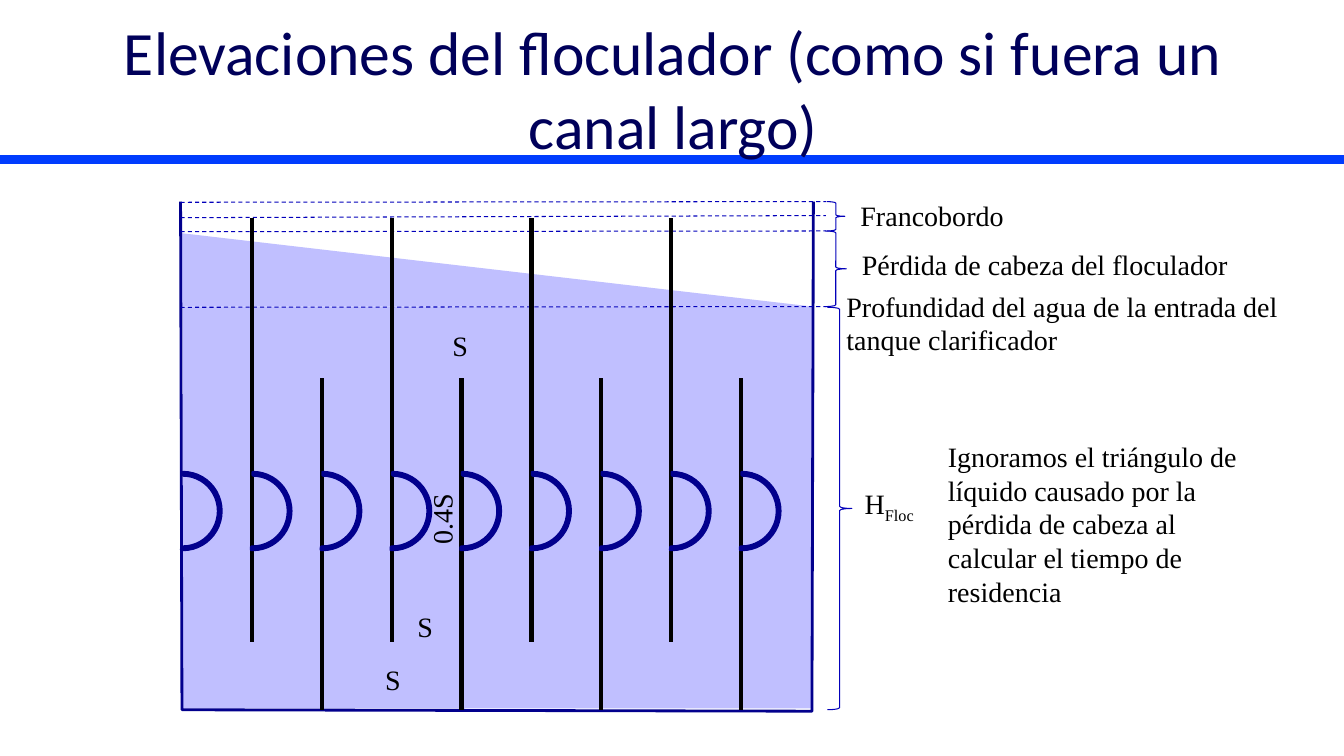
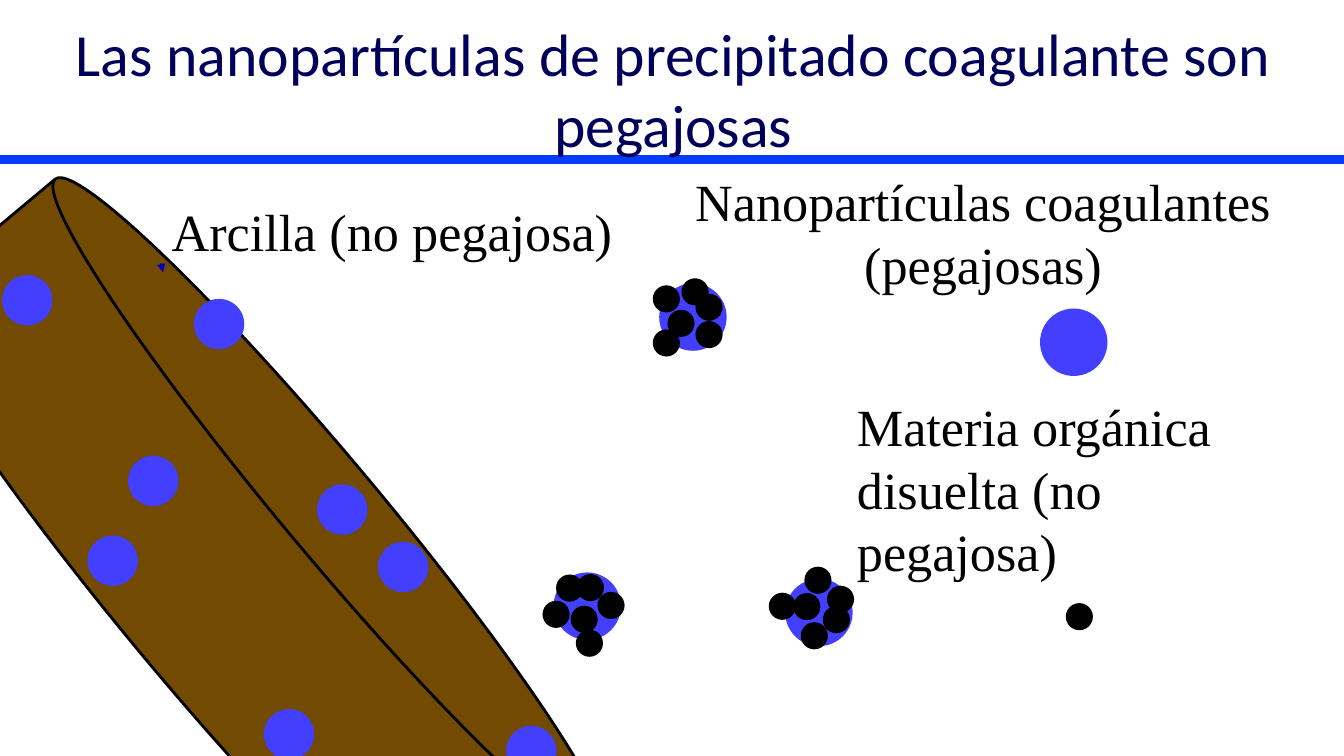
"""Build two slides: flocculator elevations and sticky coagulant nanoparticles."""
from dataclasses import dataclass
from math import cos, radians, sin

from lxml import etree
from pptx import Presentation
from pptx.dml.color import RGBColor
from pptx.enum import dml, shapes, text
from pptx.oxml import ns
from pptx.util import Pt


@dataclass(frozen=True)
class Theme:
    title: str = "00005A"
    band: str = "003CFE"
    ink: str = "000000"
    water: str = "C0BFFF"
    wall: str = "02008D"
    guide: str = "0300BA"
    arc: str = "0300BE"
    clay: str = "724A02"
    nano: str = "423FFF"
    head_font: str = "Calibri"
    body_font: str = "Times New Roman"
    label: float = 20
    large: float = 37.3


T = Theme()
MSO = shapes.MSO_SHAPE
STRAIGHT = shapes.MSO_CONNECTOR.STRAIGHT


def write(tf, content, size=T.label, font=T.body_font, color=T.ink,
          align=text.PP_ALIGN.LEFT, anchor=text.MSO_ANCHOR.TOP, sub=""):
    tf.word_wrap = True
    tf.auto_size = text.MSO_AUTO_SIZE.NONE
    tf.vertical_anchor = anchor
    p = tf.paragraphs[0]
    p.alignment = align
    for part in filter(None, (content, sub)):
        r = p.add_run()
        r.text = part
        r.font.size = Pt(size)
        r.font.name = font
        r.font.color.rgb = RGBColor.from_string(color)
    if sub:
        r._r.get_or_add_rPr().set("baseline", "-25000")


def paint(sp, fill=None, line=None, width=0.75, dash=None):
    if fill:
        sp.fill.solid()
        sp.fill.fore_color.rgb = RGBColor.from_string(fill)
    elif hasattr(sp, "fill"):
        sp.fill.background()
    if line:
        sp.line.color.rgb = RGBColor.from_string(line)
        sp.line.width = Pt(width)
        sp.line.dash_style = dash
    else:
        sp.line.fill.background()
    etree.SubElement(sp._element.spPr, ns.qn("a:effectLst"))
    return sp


prs = Presentation()
prs.slide_width, prs.slide_height = Pt(960), Pt(540)
layout = prs.slide_layouts[5]

slides = []
for title, size in (
    ("Elevaciones del floculador (como si fuera un canal largo)", 44),
    ("Las nanopartículas de precipitado coagulante son pegajosas", 42.7),
):
    s = prs.slides.add_slide(layout)
    sp = s.shapes.title
    sp.left, sp.top, sp.width, sp.height = Pt(36), Pt(18), Pt(890), Pt(90)
    write(sp.text_frame, title, size=size, font=T.head_font, color=T.title,
          align=text.PP_ALIGN.CENTER, anchor=text.MSO_ANCHOR.MIDDLE)
    slides.append(s)
floc, nano = slides

band = floc.shapes.add_connector(STRAIGHT, 0, Pt(114), Pt(960), Pt(114))
paint(band, line=T.band, width=6)
layout.shapes._spTree.append(band._element)

for kind, x, y, w, h in (
    (MSO.RIGHT_TRIANGLE, 129, 166.5, 451.5, 52.5),
    (MSO.RECTANGLE, 130.5, 219, 450, 287),
):
    paint(floc.shapes.add_shape(kind, Pt(x), Pt(y), Pt(w), Pt(h)), fill=T.water)

outline = floc.shapes.build_freeform(129, 144.5, scale=Pt(1))
outline.add_line_segments([(130.5, 507), (580.5, 508), (581, 144)], close=False)
paint(outline.convert_to_shape(), line=T.wall, width=2)

for y1, y2 in ((144.5, 144), (155.5, 154), (165.5, 165), (219.5, 219)):
    level = floc.shapes.add_connector(STRAIGHT, Pt(129), Pt(y1), Pt(590), Pt(y2))
    paint(level, line=T.guide, dash=dml.MSO_LINE.DASH)

PITCH = 49.9
for i in range(8):
    x = Pt(180 + i * PITCH)
    top, bottom = ((156, 458.5), (270, 507))[i % 2]
    baffle = floc.shapes.add_connector(STRAIGHT, x, Pt(top), x, Pt(bottom))
    paint(baffle, line=T.ink, width=3)

for i in range(9):
    sp = floc.shapes.add_shape(MSO.BLOCK_ARC, Pt(103 + i * PITCH), Pt(337.7),
                               Pt(55.4), Pt(54.7))
    sp.rotation = 90
    for j, value in enumerate((108, 1.43, 0.04)):
        sp.adjustments[j] = value
    paint(sp, fill=T.arc, line=T.wall, width=2)

for x, y, w, h in ((590.5, 144, 13, 21), (589.5, 165, 15, 54), (591, 219.5, 17.5, 287.5)):
    brace = floc.shapes.add_shape(MSO.RIGHT_BRACE, Pt(x), Pt(y), Pt(w), Pt(h))
    paint(brace, line=T.guide)

large = dict(size=T.large)
centered = dict(size=T.large, align=text.PP_ALIGN.CENTER)
labels = (
    (floc, "Profundidad del agua de la entrada del tanque clarificador",
     597.5, 203, 362, 55.5, 0, {}),
    (floc, "Pérdida de cabeza del floculador", 608.5, 173.5, 290, 31.5, 0, {}),
    (floc, "Francobordo", 607.5, 138.5, 120, 31.5, 0, {}),
    (floc, "H", 610.5, 344, 62, 31.5, 0, dict(sub="Floc")),
    (floc, "0.4S", 289, 354, 53, 31.5, 270, {}),
    (floc, "S", 268, 470, 26, 31.5, 0, {}),
    (floc, "S", 291, 431.5, 26, 31.5, 0, {}),
    (floc, "S", 316, 231, 26, 31.5, 0, {}),
    (floc, "Ignoramos el triángulo de líquido causado por la pérdida de cabeza "
     "al calcular el tiempo de residencia", 670, 310.5, 237, 152.5, 0, {}),
    (nano, "Nanopartículas coagulantes (pegajosas)",
     445.5, 117.5, 513.5, 98, 0, centered),
    (nano, "Materia orgánica disuelta (no pegajosa)", 605, 278, 325, 188, 0, large),
    (nano, "Arcilla (no pegajosa)", 115.5, 139, 340, 98, 0, large),
)

clay = nano.shapes.add_shape(MSO.FLOWCHART_MAGNETIC_DISK, Pt(-122.5), Pt(304),
                             Pt(611.5), Pt(204.5))
clay.rotation = 50.1
paint(clay, fill=T.clay, line=T.ink, width=2)

BALL, DOT, SPECK = 48.2, 19.4, 36
discs = [(767, 244.5, BALL, T.nano), (771, 440.5, DOT, T.ink)]
discs += [(x, y, SPECK, T.nano) for x, y in (
    (288, 405), (156.5, 231.5), (80.5, 400.5), (19.5, 214.5),
    (379.5, 536.5), (244.5, 364), (206.5, 524.5), (109.5, 343.5))]
attached = ((-19, -13), (-19, 18.5), (1.5, -18), (-8.5, 4.5), (11.5, 12.5), (11.5, -7))
for cx, cy, turn in ((495, 226.5, 0), (585, 437.5, 53.8), (419.5, 433, 310.9)):
    c, n = cos(radians(turn)), sin(radians(turn))
    discs.append((cx, cy, BALL, T.nano))
    discs += [(cx + dx * c - dy * n, cy + dx * n + dy * c, DOT, T.ink)
              for dx, dy in attached]
for x, y, d, color in discs:
    disc = nano.shapes.add_shape(MSO.OVAL, Pt(x - d / 2), Pt(y - d / 2), Pt(d), Pt(d))
    paint(disc, fill=color)

for s, content, x, y, w, h, turn, style in labels:
    sp = s.shapes.add_textbox(Pt(x), Pt(y), Pt(w), Pt(h))
    sp.rotation = turn
    write(sp.text_frame, content, **style)

pointer = nano.shapes.add_connector(STRAIGHT, Pt(115), Pt(188), Pt(116.5), Pt(194.5))
paint(pointer, line=T.guide)
etree.SubElement(pointer.line._get_or_add_ln(), ns.qn("a:tailEnd"), type="triangle")

prs.save("out.pptx")
